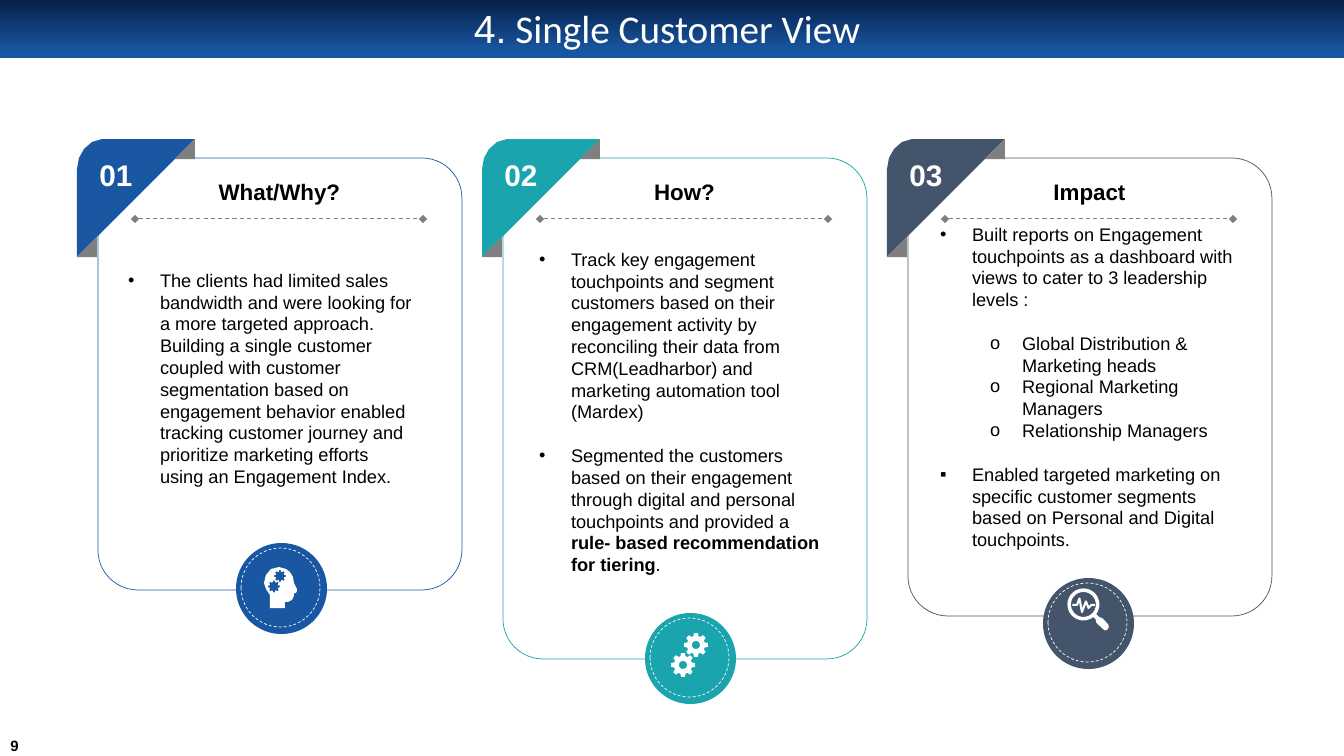
from math import cos, radians, sin

from lxml import etree
from pptx import Presentation
from pptx import util as u
from pptx.dml.color import RGBColor
from pptx.enum import dml, shapes, text
from pptx.oxml.ns import qn

PX = 914400 / 100.8
COLORS = {
    "navy": "052049", "blue": "1957A3", "teal": "1AA4AD", "slate": "44546A",
    "gray": "7F7F7F", "white": "FFFFFF", "black": "000000",
}
PITCH = 15.6


def px(value):
    return u.Emu(round(value * PX))


def rgb(name):
    return RGBColor.from_string(COLORS[name])


def place(shape, left, top, width, height):
    shape.left, shape.top, shape.width, shape.height = map(px, (left, top, width, height))


def paint(shape, fill=None, line=None, weight=0.5, dash=False):
    shape.shadow.inherit = False
    if fill:
        shape.fill.solid()
        shape.fill.fore_color.rgb = rgb(fill)
    else:
        shape.fill.background()
    if line:
        shape.line.color.rgb = rgb(line)
        shape.line.width = u.Pt(weight)
        if dash:
            shape.line.dash_style = dml.MSO_LINE.DASH
    else:
        shape.line.fill.background()
    return shape


def preset(page, kind, left, top, width, height, **style):
    shape = page.shapes.add_shape(kind, *map(px, (left, top, width, height)))
    return paint(shape, **style)


def outline(page, left, top, contours, closed=True, **style):
    builder = None
    for contour in contours:
        points = [((left + x) * 10, (top + y) * 10) for x, y in contour]
        if builder is None:
            builder = page.shapes.build_freeform(*points[0], scale=PX / 10)
        else:
            builder.move_to(*points[0])
        builder.add_line_segments(points[1:], close=closed)
    return paint(builder.convert_to_shape(), **style)


def write(para, content, size=13, color="black", bold=False, face="Arial"):
    span = para.add_run()
    span.text = content
    span.font.size = u.Pt(size)
    span.font.name = face
    span.font.bold = bold
    span.font.color.rgb = rgb(color)


def label(page, content, left, top, width, height, anchor=text.MSO_ANCHOR.MIDDLE, **style):
    box = page.shapes.add_textbox(*map(px, (left, top, width, height)))
    frame = box.text_frame
    frame.word_wrap = True
    frame.vertical_anchor = anchor
    frame.margin_left = frame.margin_right = 0
    if anchor == text.MSO_ANCHOR.MIDDLE:
        frame.margin_top = frame.margin_bottom = 0
    frame.paragraphs[0].alignment = text.PP_ALIGN.CENTER
    write(frame.paragraphs[0], content, **style)


def polar(center, radius, degrees):
    angle = radians(degrees)
    return center[0] + radius * cos(angle), center[1] + radius * sin(angle)


def ring(center, radius):
    return [polar(center, radius, step * 10) for step in range(36)]


def gear(center, radius):
    tooth = [(-16, 0.75), (-9, 1), (9, 1), (16, 0.75)]
    return [polar(center, radius * reach, turn * 45 + offset)
            for turn in range(8) for offset, reach in tooth]


def head_icon(page, left, top):
    head = [(61, 46), (58, 40), (57, 34), (54, 29), (50, 26), (43, 24), (35, 26), (30, 32),
            (28, 40), (30, 46), (34, 52), (34, 65), (49, 65), (49, 59), (52, 59), (56, 57),
            (58, 53), (58, 50), (60, 50), (61, 48)]
    outline(page, left, top, [head, gear((44, 33), 6), gear((38, 43.5), 6)], fill="white")


def gears_icon(page, left, top):
    for center in ((51, 32), (38, 52)):
        outline(page, left, top, [gear(center, 12), ring(center, 4)], fill="white")


def magnifier_icon(page, left, top):
    lens = (40.5, 26.5)
    handle = [(53, 36), (56, 39), (59, 40), (65, 46), (66, 49), (64, 52), (62, 52.5),
              (60, 51), (53.5, 45), (52.5, 41), (50, 39)]
    pulse = [(29.5, 27), (34, 27), (36.5, 20.5), (39, 34), (43, 23.5), (45.5, 30),
             (48.5, 27), (52, 27)]
    outline(page, left, top, [ring(lens, 16), ring(lens, 12.5)], fill="white")
    outline(page, left, top, [handle], fill="white")
    outline(page, left, top, [pulse], closed=False, line="white", weight=1.5)


def header(page):
    bar = preset(page, shapes.MSO_SHAPE.RECTANGLE, 0, 0, 1344, 58)
    bar.fill.gradient()
    bar.fill.gradient_angle = 270
    for stop, color, position in zip(bar.fill.gradient_stops, ("navy", "blue"), (0, 0.9)):
        stop.color.rgb = rgb(color)
        stop.position = position
    title = page.shapes.title
    title.element.addprevious(bar.element)
    place(title, 64, 8, 1206, 45)
    frame = title.text_frame
    frame.auto_size = text.MSO_AUTO_SIZE.NONE
    frame.vertical_anchor = text.MSO_ANCHOR.MIDDLE
    frame.margin_left = frame.margin_right = px(7)
    frame.margin_top = frame.margin_bottom = px(4)
    para = frame.paragraphs[0]
    para.alignment = text.PP_ALIGN.CENTER
    para.line_spacing = 0.9
    write(para, "4.", size=28, color="white")
    write(para, " Single Customer View", size=28, color="white", face="Calibri")


def flag(page, left, top, number, color):
    corner = [(25, 0), (118, 0), (0, 118), (0, 30), (2, 19), (7, 10), (15, 3)]
    outline(page, left, top, [corner], fill=color)
    for x, y in ((98, 0), (0, 98)):
        fold = preset(page, shapes.MSO_SHAPE.RIGHT_TRIANGLE, left + x, top + y, 20, 20, fill="gray")
        fold.rotation = 270
    label(page, number, left + 9, top + 11, 60, 49, size=21.3, color="white", bold=True)


def divider(page, left, top, width):
    line = page.shapes.add_connector(
        shapes.MSO_CONNECTOR.STRAIGHT, *map(px, (left, top, left + width, top)))
    line.line.color.rgb = rgb("gray")
    line.line.width = u.Pt(0.75)
    line.line.dash_style = dml.MSO_LINE.DASH
    outline_xml = line.line._get_or_add_ln()
    for end in ("a:headEnd", "a:tailEnd"):
        etree.SubElement(outline_xml, qn(end), type="diamond")
    etree.SubElement(line.element.spPr, qn("a:effectLst"))


def bullets(body, items):
    frame = body.text_frame
    frame.word_wrap = True
    frame.auto_size = text.MSO_AUTO_SIZE.NONE
    frame.vertical_anchor = text.MSO_ANCHOR.TOP
    for index, (mark, level, gap, spans) in enumerate(items):
        para = frame.add_paragraph() if index else frame.paragraphs[0]
        para.level = level
        properties = para._p.get_or_add_pPr()
        properties.set("marL", str(px(82 if level else 32)))
        properties.set("indent", str(px(-32)))
        etree.SubElement(properties, qn("a:buFont"), typeface="Arial")
        etree.SubElement(properties, qn("a:buChar"), char=mark)
        para.alignment = text.PP_ALIGN.LEFT
        para.line_spacing = u.Pt(PITCH)
        para.space_before = u.Pt(PITCH if gap else 0)
        para.space_after = u.Pt(0)
        for content, bold in spans:
            write(para, content, bold=bold)


def card(page, left, top, height, number, heading, color, body, body_box, items, badge, icon):
    frame = preset(page, shapes.MSO_SHAPE.ROUNDED_RECTANGLE, left, top, 364, height, line=color)
    frame.adjustments[0] = 0.11
    flag(page, left - 21, top - 19, number, color)
    divider(page, left + 37, top + 61, 288)
    label(page, heading, left + 60, top + 12, 243, 40, anchor=text.MSO_ANCHOR.BOTTOM,
          size=16, bold=True)
    x, y, width, depth = body_box
    place(body, left + x, top + y, width, depth)
    bullets(body, items)
    x, y = left + badge[0], top + height + badge[1]
    preset(page, shapes.MSO_SHAPE.OVAL, x, y, 91, 91, fill=color)
    preset(page, shapes.MSO_SHAPE.OVAL, x + 5, y + 5, 79, 79, line="white", dash=True)
    icon(page, x, y)


WHAT = [("•", 0, False, [("The clients had limited sales bandwidth and were looking for a more targeted approach. Building a single customer coupled with customer segmentation based on engagement behavior enabled tracking customer journey and prioritize marketing efforts using an Engagement Index.", False)])]
HOW = [
    ("•", 0, False, [("Track key engagement touchpoints and segment customers based on their engagement activity by reconciling their data from CRM(Leadharbor) and marketing automation tool (Mardex)", False)]),
    ("•", 0, True, [("Segmented the customers based on their engagement through digital and personal touchpoints and provided a ", False), ("rule- based recommendation for tiering", True), (".", False)]),
]
IMPACT = [
    ("•", 0, False, [("Built reports on Engagement touchpoints as a dashboard with views to cater to 3 leadership levels :", False)]),
    ("o", 1, True, [("Global Distribution & Marketing heads", False)]),
    ("o", 1, False, [("Regional Marketing Managers", False)]),
    ("o", 1, False, [("Relationship Managers", False)]),
    ("▪", 0, True, [("Enabled targeted marketing on specific customer segments based on Personal and Digital touchpoints.", False)]),
]
CARDS = [
    (432, "01", "What/Why?", "blue", (20, 106, 307, 263), WHAT, (138, -47), head_icon),
    (501, "02", "How?", "teal", (26, 85, 307, 336), HOW, (142, -46), gears_icon),
    (458, "03", "Impact", "slate", (22, 60, 324, 336), IMPACT, (135, -38), magnifier_icon),
]


def main():
    deck = Presentation()
    deck.slide_width, deck.slide_height = px(1344), px(756)
    page = deck.slides.add_slide(deck.slide_layouts[4])
    header(page)
    bodies = list(page.placeholders)[1:]
    spare = bodies.pop().element
    spare.getparent().remove(spare)
    for column, (height, number, heading, color, box, items, badge, icon) in enumerate(CARDS):
        card(page, 98 + 405 * column, 158, height, number, heading, color,
             bodies[column], box, items, badge, icon)
    label(page, "9", 2, 736, 25, 19, size=10.7, bold=True)
    deck.save("out.pptx")


if __name__ == "__main__":
    main()
